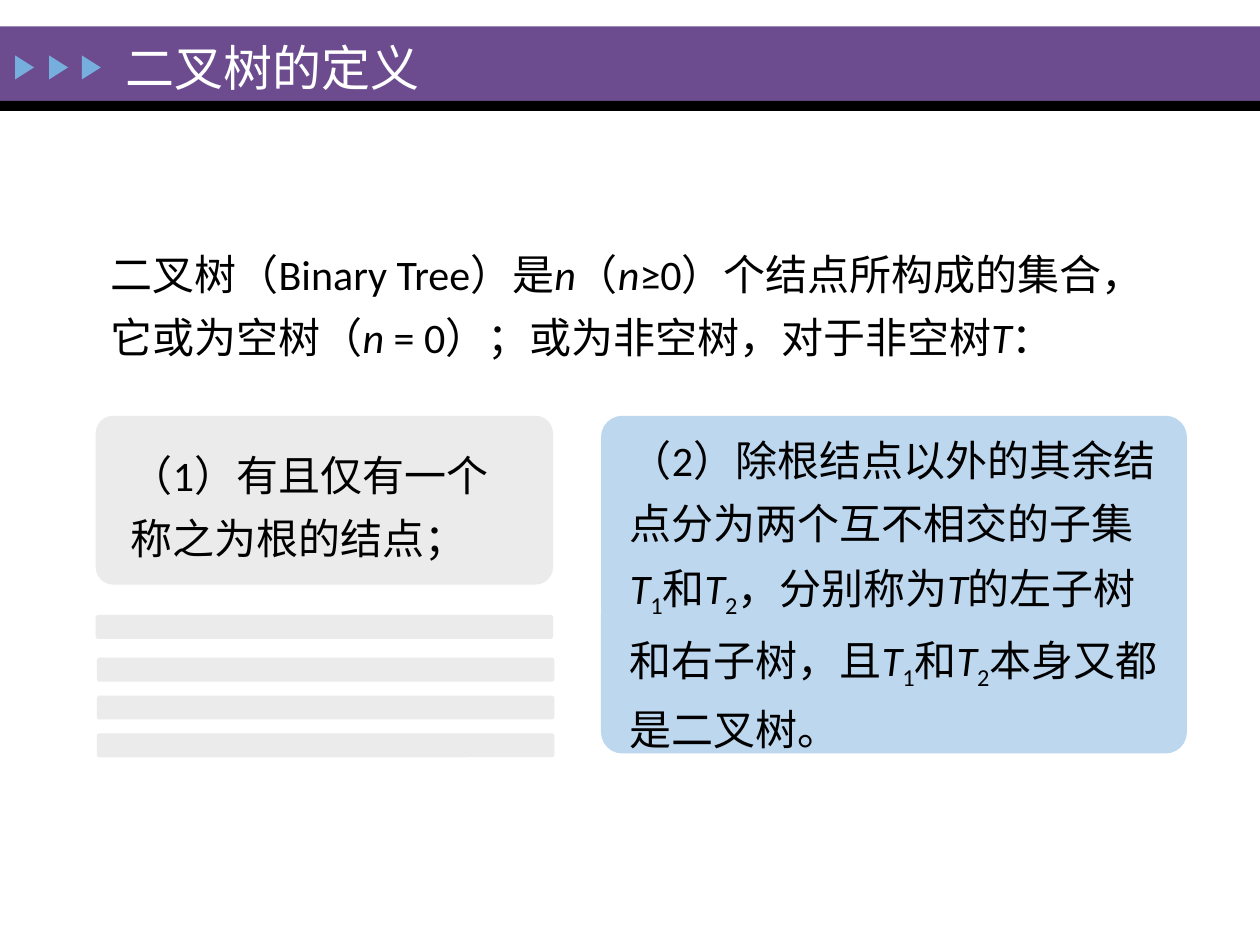
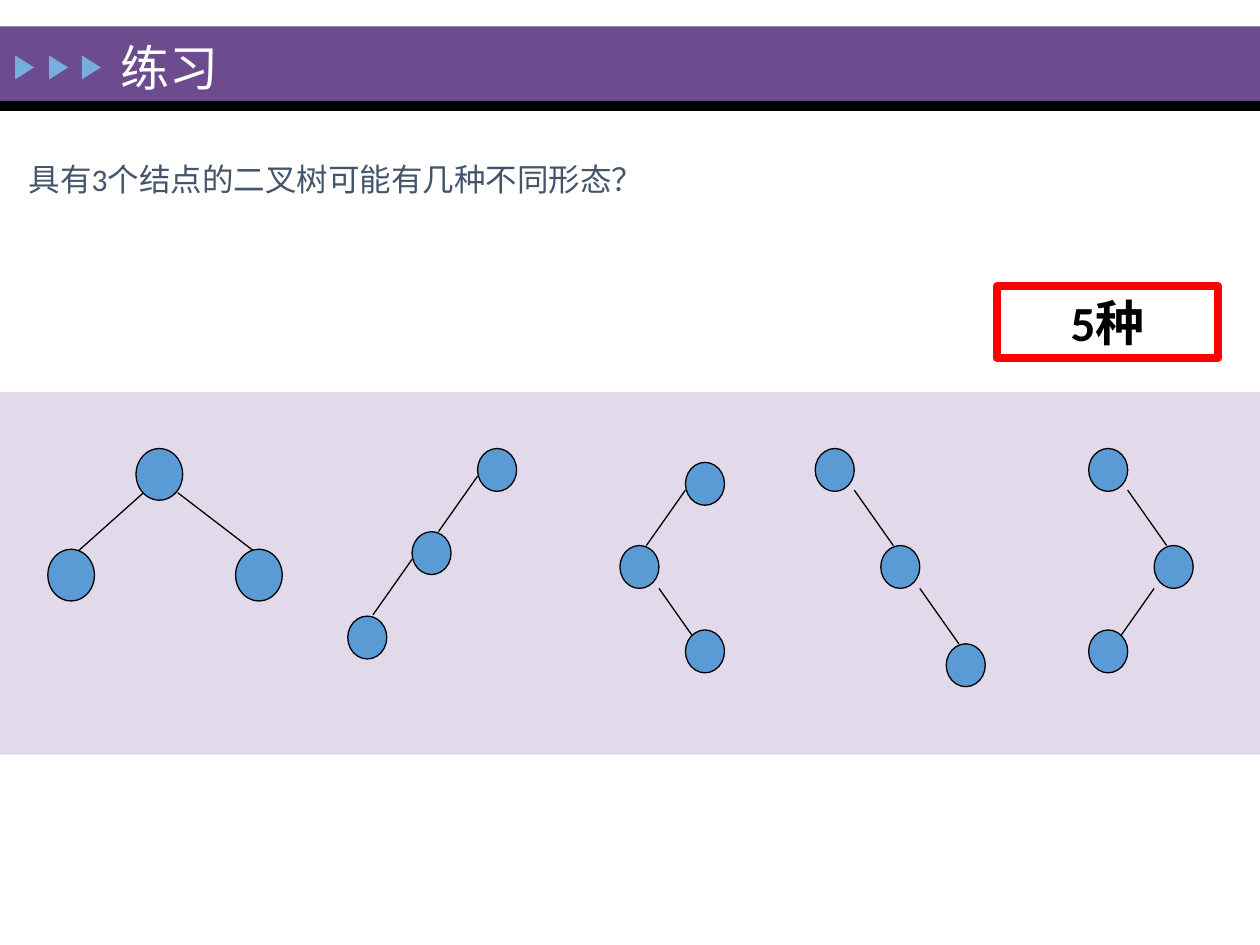
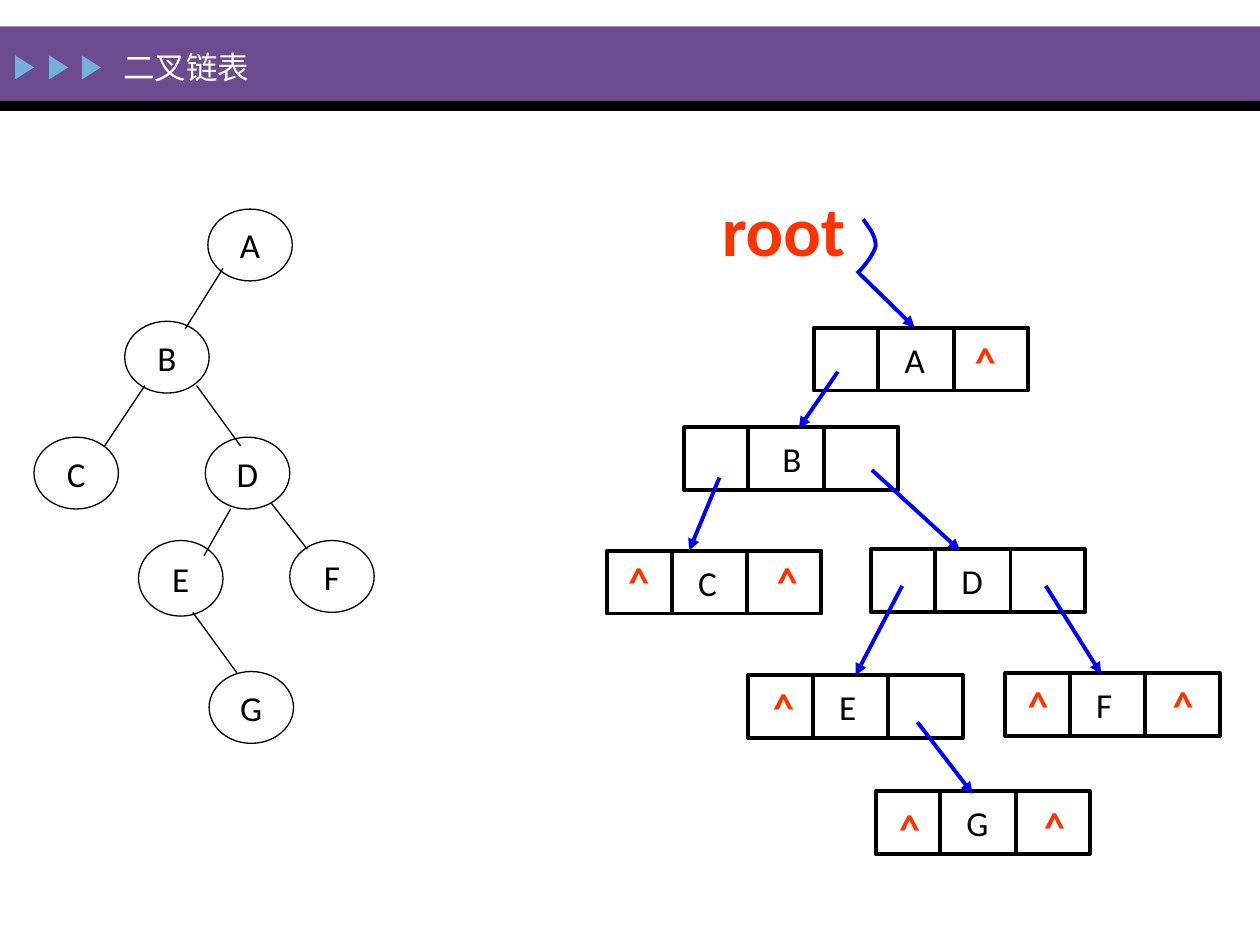
from typing import NamedTuple

from lxml.etree import SubElement
from pptx import Presentation
from pptx.dml.color import RGBColor
from pptx.enum.shapes import MSO_CONNECTOR, MSO_SHAPE
from pptx.enum.text import MSO_ANCHOR, PP_ALIGN
from pptx.oxml.ns import qn
from pptx.util import Inches, Pt

FONT = "Calibri"
BLACK, WHITE, RED, BLUE = "000000", "FFFFFF", "FF0000", "0000FF"
PURPLE, LILAC, SKY = "6C4C8F", "E2D9EB", "76AEDD"
GREY, PALE_BLUE, NODE_BLUE = "EBEBEB", "BDD7EE", "5B9BD5"
SLATE, ORANGE = "44546A", "FF3300"


class Box(NamedTuple):
    x: float
    y: float
    w: float
    h: float


class Edge(NamedTuple):
    x1: float
    y1: float
    x2: float
    y2: float


class Run(NamedTuple):
    text: str
    italic: bool = False
    sub: bool = False


class Style(NamedTuple):
    size: float
    color: str = BLACK
    bold: bool = False
    align: PP_ALIGN = PP_ALIGN.LEFT
    anchor: MSO_ANCHOR = MSO_ANCHOR.TOP
    wrap: bool = True
    spacing: float = 1.0
    before: float = 0


class TreeNode(NamedTuple):
    label: str
    x: float
    y: float
    h: float = 0.57


class Record(NamedTuple):
    """A linked-list node with left, data and right cells."""
    label: str
    x: float
    y: float
    carets: tuple[tuple[float, float], ...] = ()
    inset: float = 0.72


BODY = Style(24, spacing=1.25, before=10)
LETTER = Style(20, align=PP_ALIGN.CENTER, anchor=MSO_ANCHOR.MIDDLE, wrap=False)
CELL = Style(20, anchor=MSO_ANCHOR.MIDDLE)
CARET = Style(24, ORANGE, True, PP_ALIGN.CENTER, MSO_ANCHOR.MIDDLE, False)


# Helpers
def rgb(color: str) -> RGBColor:
    return RGBColor.from_string(color)


def write(sp, runs: list[Run], style: Style) -> None:
    tf = sp.text_frame
    tf.word_wrap = style.wrap
    tf.vertical_anchor = style.anchor
    p = tf.paragraphs[0]
    p.alignment = style.align
    p.line_spacing = style.spacing
    p.space_before = Pt(style.before)
    for run in runs:
        r = p.add_run()
        r.text = run.text
        r.font.name = FONT
        r.font.size = Pt(style.size)
        r.font.bold = style.bold
        r.font.italic = run.italic
        r.font.color.rgb = rgb(style.color)
        if run.sub:
            r.font._element.set("baseline", "-25000")


def paint(sp, fill: str = "", line: str = "", width: float = 0.75) -> None:
    sp.shadow.inherit = False
    if fill:
        sp.fill.solid()
        sp.fill.fore_color.rgb = rgb(fill)
    else:
        sp.fill.background()
    if line:
        sp.line.color.rgb = rgb(line)
        sp.line.width = Pt(width)
    else:
        sp.line.fill.background()


def add_box(s, kind: MSO_SHAPE, box: Box, fill: str = "", line: str = "",
            width: float = 0.75):
    sp = s.shapes.add_shape(kind, *map(Inches, box))
    paint(sp, fill, line, width)
    return sp


def add_card(s, box: Box, fill: str, radius: float) -> None:
    add_box(s, MSO_SHAPE.ROUNDED_RECTANGLE, box, fill).adjustments[0] = radius


def add_text(s, box: Box, runs: list[Run], style: Style) -> None:
    write(s.shapes.add_textbox(*map(Inches, box)), runs, style)


def add_line(s, edge: Edge, color: str = BLACK, width: float = 0.75,
             arrow: bool = False):
    sp = s.shapes.add_connector(MSO_CONNECTOR.STRAIGHT, *map(Inches, edge))
    sp.line.color.rgb = rgb(color)
    sp.line.width = Pt(width)
    if arrow:
        SubElement(sp.line._get_or_add_ln(), qn("a:tailEnd"), type="triangle")
    SubElement(sp._element.spPr, qn("a:effectLst"))
    return sp


def add_slide(prs, title: str, x: float, size: float = 28):
    """Blank slide with the title band, its rule and three markers."""
    s = prs.slides.add_slide(prs.slide_layouts[6])
    add_box(s, MSO_SHAPE.RECTANGLE, Box(0, 0.21, 10, 0.59), PURPLE)
    add_box(s, MSO_SHAPE.RECTANGLE, Box(0, 0.8, 10, 0.08), BLACK)
    for left in (0.1, 0.37, 0.63):
        box = Box(left, 0.46, 0.19, 0.15)
        add_box(s, MSO_SHAPE.ISOSCELES_TRIANGLE, box, SKY).rotation = 90
    add_text(s, Box(x, 0.25, 3.48, 0.56), [Run(title)],
             Style(size, WHITE, anchor=MSO_ANCHOR.MIDDLE))
    return s


# Slide 1: definition
def definition_slide(prs) -> None:
    s = add_slide(prs, "二叉树的定义", 0.9)
    add_card(s, Box(0.76, 3.3, 3.63, 1.34), GREY, 0.104)
    add_card(s, Box(4.77, 3.3, 4.65, 2.68), PALE_BLUE, 0.063)
    for x, y in ((0.76, 4.88), (0.77, 5.22), (0.77, 5.52), (0.77, 5.82)):
        add_card(s, Box(x, y, 3.63, 0.19), GREY, 0.104)

    tree = Run("T", italic=True)
    subtrees = [tree, Run("1", sub=True), Run("和"), tree, Run("2", sub=True)]
    add_text(s, Box(0.78, 1.82, 8.56, 1.06), [
        Run("二叉树（Binary Tree）是"), Run("n", italic=True),
        Run("（"), Run("n", italic=True),
        Run("≥0）个结点所构成的集合，它或为空树（"), Run("n ", italic=True),
        Run("= 0）；或为非空树，对于非空树"), tree, Run("："),
    ], BODY)
    add_text(s, Box(0.94, 3.42, 3.07, 1.11),
             [Run("（1）有且仅有一个称之为根的结点；")], BODY)
    add_text(s, Box(4.9, 3.3, 4.41, 2.68), [
        Run("（2）除根结点以外的其余结点分为两个互不相交的子集"), *subtrees,
        Run("，分别称为"), tree, Run("的左子树和右子树，且"), *subtrees,
        Run("本身又都是二叉树。"),
    ], BODY)


# Slide 2: the five shapes of a three-node tree
BIG_NODES = [(1.08, 3.56), (0.38, 4.36), (1.87, 4.36)]
BIG_EDGES = [Edge(1.14, 3.91, 0.58, 4.41), Edge(1.41, 3.91, 2.01, 4.37)]
SMALL_NODES = [
    (3.79, 3.56), (3.27, 4.22), (2.76, 4.89),
    (5.44, 3.67), (4.92, 4.33), (5.44, 5),
    (6.47, 3.56), (6.99, 4.33), (7.51, 5.11),
    (8.64, 3.56), (9.16, 4.33), (8.64, 5),
]
LEFT_STARTS = [(3.79, 3.78), (3.27, 4.44), (5.44, 3.89), (9.16, 4.67)]
RIGHT_STARTS = [(5.23, 4.67), (6.78, 3.89), (7.3, 4.67), (8.95, 3.89)]
EDGE_DX, EDGE_DY = 0.31, 0.44


def exercise_slide(prs) -> None:
    s = add_slide(prs, "练习", 0.86)
    add_box(s, MSO_SHAPE.RECTANGLE, Box(0, 3.11, 10, 2.88), LILAC)
    add_text(s, Box(0.13, 1.22, 9.87, 0.4),
             [Run("具有3个结点的二叉树可能有几种不同形态？")], Style(18, SLATE))

    edges = list(BIG_EDGES)
    for starts, dx in ((LEFT_STARTS, -EDGE_DX), (RIGHT_STARTS, EDGE_DX)):
        edges += [Edge(x, y, x + dx, y + EDGE_DY) for x, y in starts]
    for edge in edges:
        add_line(s, edge)
    for nodes, w, h in ((BIG_NODES, 0.37, 0.41), (SMALL_NODES, 0.31, 0.34)):
        for x, y in nodes:
            add_box(s, MSO_SHAPE.OVAL, Box(x, y, w, h), NODE_BLUE, BLACK)

    answer = add_box(s, MSO_SHAPE.RECTANGLE, Box(7.91, 2.27, 1.76, 0.57),
                     line=RED, width=4.5)
    write(answer, [Run("5种")], Style(28, bold=True, align=PP_ALIGN.CENTER,
                                     anchor=MSO_ANCHOR.MIDDLE))


# Slide 3: a tree and its linked storage
TREE_NODES = [
    TreeNode("A", 1.65, 1.66), TreeNode("B", 0.99, 2.55),
    TreeNode("C", 0.27, 3.47), TreeNode("D", 1.63, 3.47),
    TreeNode("E", 1.1, 4.29, 0.6), TreeNode("F", 2.3, 4.29),
    TreeNode("G", 1.66, 5.33),
]
TREE_EDGES = [
    Edge(1.77, 2.13, 1.47, 2.61), Edge(1.15, 3.06, 0.83, 3.54),
    Edge(1.56, 3.06, 1.91, 3.54), Edge(1.83, 4.04, 1.62, 4.41),
    Edge(2.15, 3.99, 2.44, 4.36), Edge(1.53, 4.86, 1.88, 5.34),
]
RECORDS = [
    Record("A", 6.46, 2.6, ((7.57, 2.54),)),
    Record("B", 5.43, 3.39, inset=0.78),
    Record("C", 4.82, 4.37, ((4.82, 4.29), (6, 4.29))),
    Record("D", 6.91, 4.36),
    Record("E", 5.94, 5.36, ((5.97, 5.29),)),
    Record("F", 7.98, 5.34, ((7.99, 5.27), (9.14, 5.27))),
    Record("G", 6.95, 6.28, ((6.97, 6.25), (8.12, 6.23))),
]
RECORD_W, RECORD_H = 1.7, 0.5
DIVIDERS = (0.51, 1.11)
POINTERS = {
    "A": Edge(6.82, 2.17, 7.26, 2.6),
    "B": Edge(6.65, 2.95, 6.34, 3.4),
    "C": Edge(5.71, 3.79, 5.47, 4.37),
    "D": Edge(6.92, 3.73, 7.62, 4.37),
    "E": Edge(7.16, 4.65, 6.79, 5.36),
    "F": Edge(8.3, 4.65, 8.74, 5.35),
    "G": Edge(7.28, 5.73, 7.72, 6.3),
}
ROOT_CURVES = [
    ((6.85, 1.74), (6.9, 1.81), (6.95, 1.87), (6.95, 1.95)),
    ((6.95, 1.95), (6.94, 2.02), (6.83, 2.15), (6.8, 2.17)),
]


def bezier(curve, t: float) -> tuple[float, float]:
    u = 1 - t
    weights = (u ** 3, 3 * u * u * t, 3 * u * t * t, t ** 3)
    x, y = (sum(k * v for k, v in zip(weights, axis)) for axis in zip(*curve))
    return x, y


def add_root_curve(s, steps: int = 10) -> None:
    points = [bezier(c, i / steps) for c in ROOT_CURVES
              for i in range(1, steps + 1)]
    x, y = ROOT_CURVES[0][0]
    fb = s.shapes.build_freeform(Inches(x), Inches(y))
    fb.add_line_segments([(Inches(px), Inches(py)) for px, py in points],
                         close=False)
    paint(fb.convert_to_shape(), line=BLUE, width=2.25)


def add_record(s, record: Record):
    x, y = record.x, record.y
    sp = add_box(s, MSO_SHAPE.RECTANGLE, Box(x, y, RECORD_W, RECORD_H),
                 line=BLACK, width=2.25)
    sp.text_frame.margin_left = Inches(record.inset)
    write(sp, [Run(record.label)], CELL)
    for dx in DIVIDERS:
        add_line(s, Edge(x + dx, y, x + dx, y + RECORD_H), width=2.25)
    for cx, cy in record.carets:
        add_text(s, Box(cx, cy, 0.5, 0.64), [Run("^")], CARET)
    return sp


def linked_list_slide(prs) -> None:
    s = add_slide(prs, "二叉链表", 0.88, 18)
    for node in TREE_NODES:
        sp = add_box(s, MSO_SHAPE.OVAL, Box(node.x, node.y, 0.67, node.h),
                     line=BLACK)
        write(sp, [Run(node.label)], LETTER)
    for edge in TREE_EDGES:
        add_line(s, edge)

    records = {record.label: add_record(s, record) for record in RECORDS}
    add_root_curve(s)
    for label, edge in POINTERS.items():
        arrow = add_line(s, edge, BLUE, 2.25, arrow=True)
        if label == "E":  # meets the middle of the top side
            arrow.end_connect(records[label], 0)
    add_text(s, Box(5.63, 1.43, 1.19, 0.77), [Run("root")],
             Style(40, ORANGE, True, wrap=False))


def main() -> None:
    prs = Presentation()
    prs.slide_width, prs.slide_height = Inches(10), Inches(7.5)
    definition_slide(prs)
    exercise_slide(prs)
    linked_list_slide(prs)
    prs.save("out.pptx")


if __name__ == "__main__":
    main()
